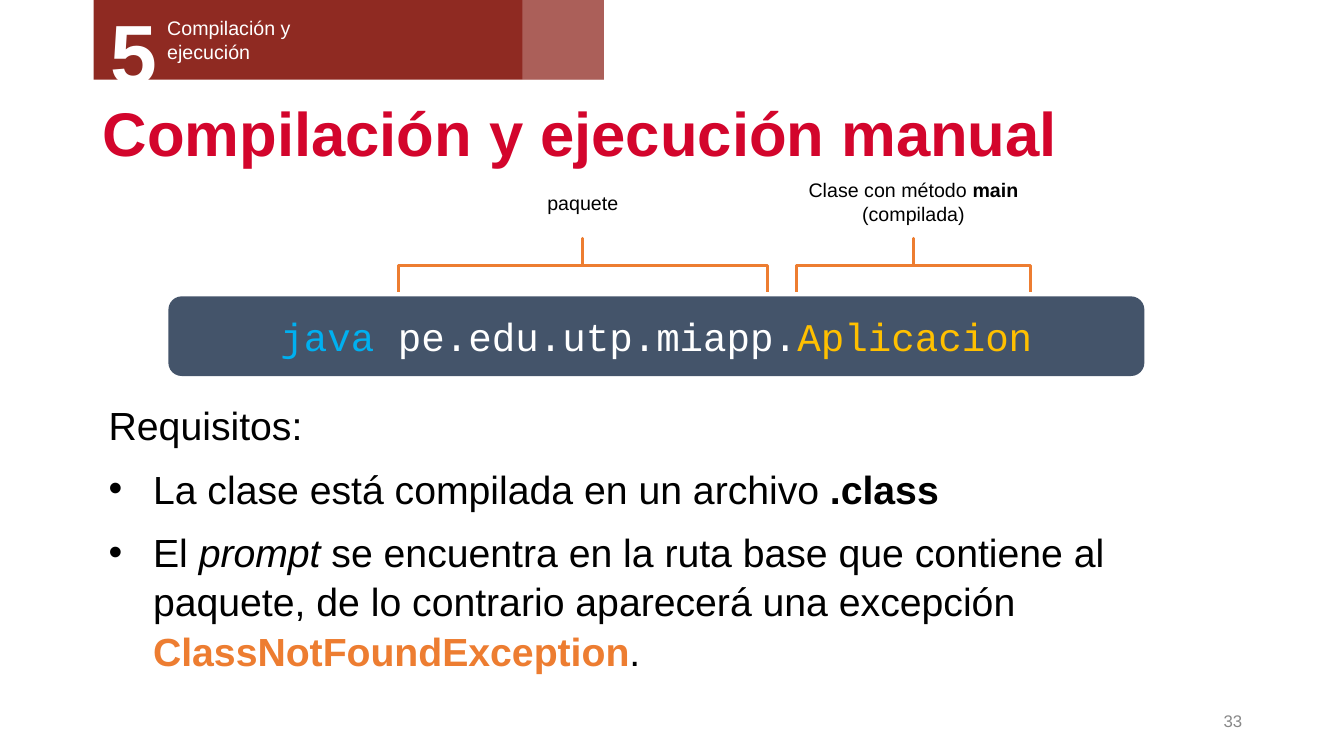
from dataclasses import dataclass

from lxml import etree
from pptx import Presentation
from pptx.dml.color import RGBColor
from pptx.enum.shapes import MSO_SHAPE
from pptx.enum.text import MSO_ANCHOR, PP_ALIGN
from pptx.oxml.ns import qn
from pptx.util import Inches, Pt

RECTANGLE = MSO_SHAPE.RECTANGLE
ROUNDED = MSO_SHAPE.ROUNDED_RECTANGLE
BRACE = MSO_SHAPE.RIGHT_BRACE
TOP, MIDDLE = MSO_ANCHOR.TOP, MSO_ANCHOR.MIDDLE
LEFT, CENTER, RIGHT = PP_ALIGN.LEFT, PP_ALIGN.CENTER, PP_ALIGN.RIGHT


@dataclass(frozen=True)
class Theme:
    sans: str = "Arial"
    mono: str = "Courier New"
    title: str = "D3052C"
    banner: str = "8F2A22"
    panel: str = "44546A"
    accent: str = "ED7D31"
    command: str = "00B0F0"
    class_name: str = "FFC000"
    ink: str = "000000"
    paper: str = "FFFFFF"
    muted: str = "888888"
    chapter_size: int = 60
    title_size: int = 44
    body_size: int = 28
    label_size: int = 14
    number_size: int = 12


class SlideBuilder:
    """Holds the theme and the slide, and draws each kind of element."""

    def __init__(self, page, theme):
        self.page = page
        self.theme = theme

    def add_spans(self, para, spans, size, color, font=None, **formats):
        """Add spans: plain strings, or (text, differing formats)."""
        for item in spans:
            content, changes = (item, {}) if isinstance(item, str) else item
            span = para.add_run()
            span.text = content
            style = {"name": font or self.theme.sans, "size": Pt(size), **formats, **changes}
            span.font.color.rgb = RGBColor.from_string(style.pop("color", color))
            for name, value in style.items():
                setattr(span.font, name, value)

    def text(self, place, spans, size, color, align=LEFT, anchor=TOP,
             spacing=None, parent=None, **formats):
        box = (parent or self.page).shapes.add_textbox(*map(Inches, place))
        frame = box.text_frame
        frame.word_wrap = True
        frame.vertical_anchor = anchor
        para = frame.paragraphs[0]
        para.alignment = align
        para.line_spacing = spacing
        self.add_spans(para, spans, size, color, **formats)
        return frame

    def shape(self, kind, place, fill=None, alpha=None, parent=None):
        shape = (parent or self.page).shapes.add_shape(kind, *map(Inches, place))
        shape.shadow.inherit = False
        shape.line.fill.background()
        if fill is None:
            shape.fill.background()
        else:
            shape.fill.solid()
            shape.fill.fore_color.rgb = RGBColor.from_string(fill)
        if alpha is not None:
            color = shape.element.spPr.find(qn("a:solidFill")).find(qn("a:srgbClr"))
            etree.SubElement(color, qn("a:alpha"), val=str(alpha * 1000))
        return shape

    def brace(self, center, middle, span, depth):
        """Square brace opening downwards, centred on a point."""
        brace = self.shape(BRACE, (center - depth / 2, middle - span / 2, depth, span))
        brace.rotation = 270
        brace.adjustments[0] = 0
        brace.adjustments[1] = 0.5
        brace.line.color.rgb = RGBColor.from_string(self.theme.accent)
        brace.line.width = Pt(2.25)

    def indent(self, para, margin, first=0, bullet=None):
        properties = para._p.get_or_add_pPr()
        properties.set("marL", str(Inches(margin)))
        properties.set("indent", str(Inches(first)))
        if bullet:
            color = etree.SubElement(properties, qn("a:buClr"))
            etree.SubElement(color, qn("a:srgbClr"), val=self.theme.ink)
            etree.SubElement(properties, qn("a:buFont"), typeface=self.theme.sans)
            etree.SubElement(properties, qn("a:buChar"), char=bullet)

    def requirements(self, place, heading, items):
        size, color = self.theme.body_size, self.theme.ink
        frame = self.text(place, [heading], size, color, spacing=1.05)
        self.indent(frame.paragraphs[0], 0.06)
        for spans in items:
            para = frame.add_paragraph()
            self.indent(para, 0.5, -0.44, "•")
            para.space_before = Pt(10)
            para.line_spacing = 1.05
            self.add_spans(para, spans, size, color)


def main():
    theme = Theme()
    deck = Presentation()
    deck.slide_width, deck.slide_height = Inches(13.33), Inches(7.5)
    page = deck.slides.add_slide(deck.slide_layouts[6])
    builder = SlideBuilder(page, theme)

    # Title and slide number
    builder.text((0.92, 0.93, 11.5, 0.86), ["Compilación y ejecución manual"],
                 theme.title_size, theme.title, anchor=MIDDLE, spacing=0.9, bold=True)
    builder.text((9.42, 6.95, 3, 0.4), ["33"], theme.number_size, theme.muted,
                 align=RIGHT, anchor=MIDDLE)

    # Requirements
    builder.requirements((0.92, 3.91, 11.5, 2.9), "Requisitos:", [
        ["La clase está compilada en un archivo ", (".class", {"bold": True})],
        ["El ", ("prompt", {"italic": True}),
         " se encuentra en la ruta base que contiene al paquete, "
         "de lo contrario aparecerá una excepción ",
         ("ClassNotFoundException", {"bold": True, "color": theme.accent}), "."],
    ])

    # Command panel
    panel = builder.shape(ROUNDED, (1.67, 2.94, 9.68, 0.79), theme.panel)
    panel.text_frame.vertical_anchor = MIDDLE
    command = panel.text_frame.paragraphs[0]
    command.alignment = CENTER
    builder.add_spans(command, [("java ", {"color": theme.command}), "pe.edu.utp.miapp.",
                                ("Aplicacion", {"color": theme.class_name})],
                      theme.body_size, theme.paper, font=theme.mono)

    # Labelled braces: centre, span, label top, label height, label
    parts = [
        (9.06, 2.32, 1.72, 0.57,
         ["Clase con método ", ("main", {"bold": True}), " (compilada)"]),
        (5.78, 3.66, 1.84, 0.34, ["paquete"]),
    ]
    label_width = 2.51
    for center, span, top, height, label in parts:
        builder.text((center - label_width / 2, top, label_width, height), label,
                     theme.label_size, theme.ink, align=CENTER)
        builder.brace(center, 2.63, span, 0.53)

    # Chapter banner
    banner = page.shapes.add_group_shape()
    builder.shape(RECTANGLE, (0.93, -0.01, 5.06, 0.8), theme.banner, parent=banner)
    chapter = builder.text((1.56, 0.11, 2.75, 0.57), ["Compilación y "],
                           theme.label_size, theme.paper, parent=banner)
    chapter.paragraphs[0].add_line_break()
    builder.add_spans(chapter.paragraphs[0], ["ejecución"], theme.label_size, theme.paper)
    builder.text((1, -0.04, 1.12, 1.11), ["5"], theme.chapter_size, theme.paper,
                 parent=banner, bold=True)
    builder.shape(RECTANGLE, (5.18, -0.01, 0.81, 0.8), theme.paper, alpha=25, parent=banner)

    deck.save("out.pptx")


if __name__ == "__main__":
    main()
